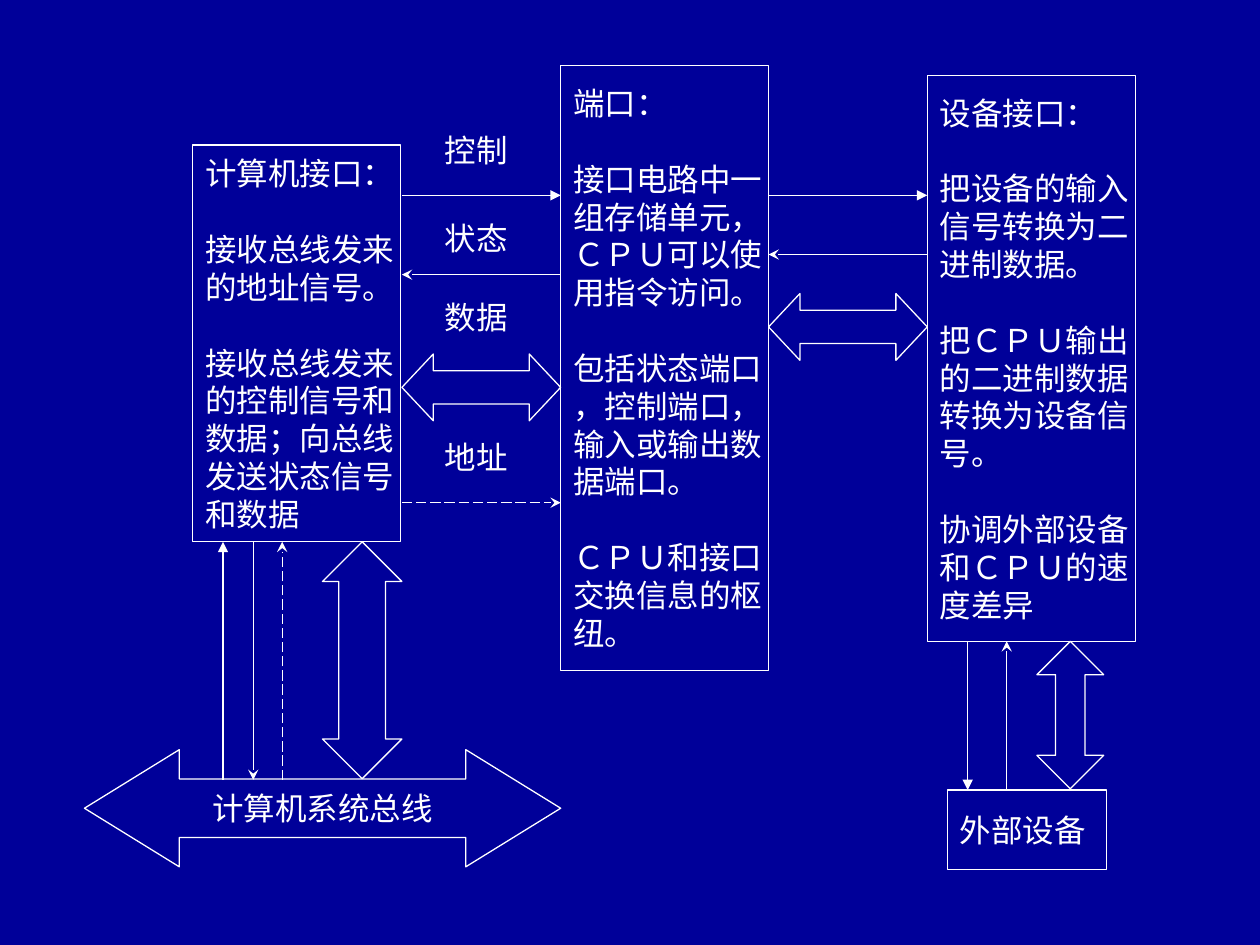
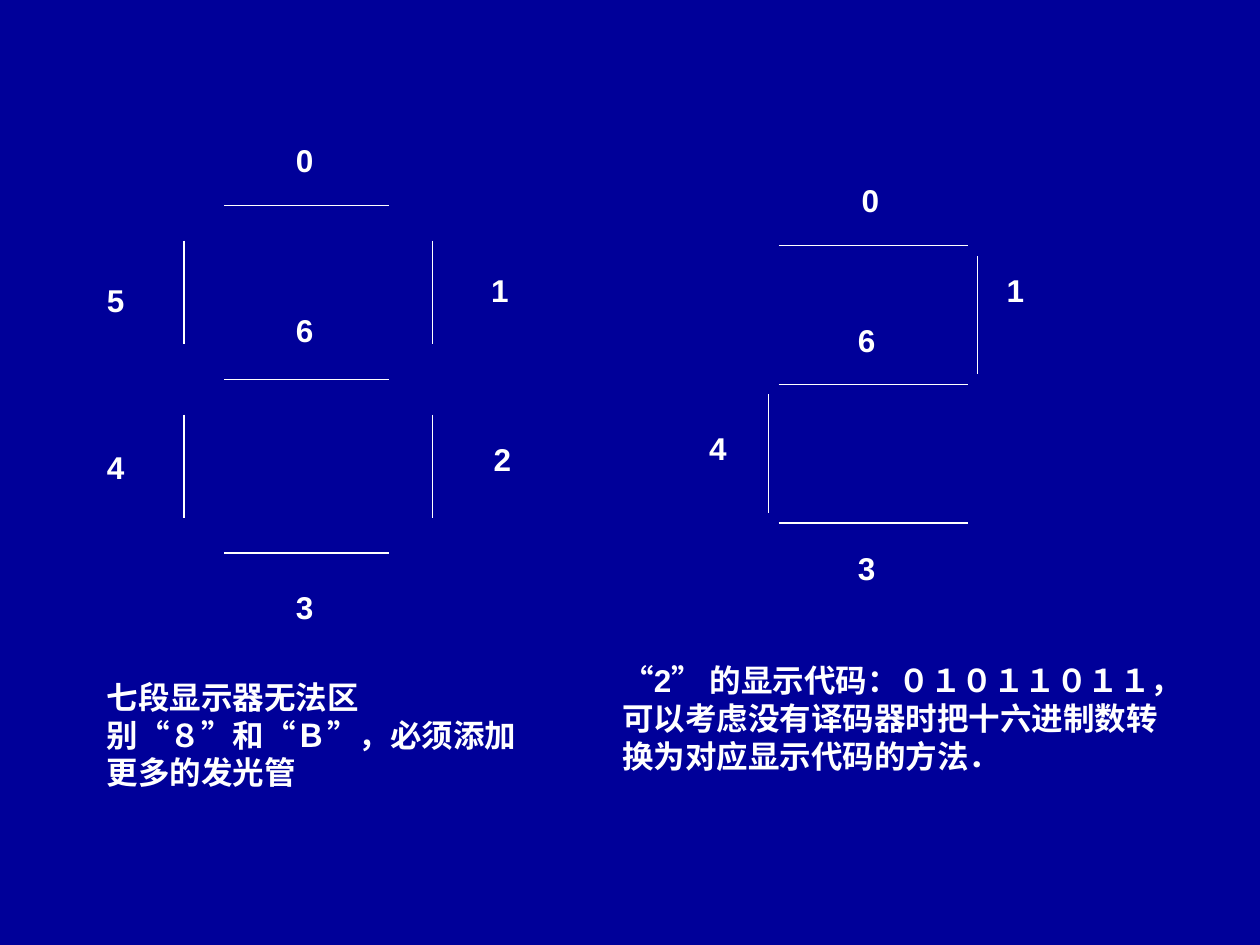
from lxml import etree
from pptx import Presentation
from pptx.dml.color import RGBColor
from pptx.enum import dml, lang, shapes, text
from pptx.oxml.ns import qn
from pptx.util import Inches, Pt

BACKGROUND = "000099"
INK = "FFFFFF"
FONT = "Arial"
TEXT_SIZE = Pt(18)
LINE_PITCH = Pt(21.7)
LINE_WIDTH = Pt(0.75)

BOX = shapes.MSO_SHAPE.RECTANGLE
WIDE_ARROW = shapes.MSO_SHAPE.LEFT_RIGHT_ARROW
TALL_ARROW = shapes.MSO_SHAPE.UP_DOWN_ARROW
LEFT, CENTER = text.PP_ALIGN.LEFT, text.PP_ALIGN.CENTER

# Edges shared by the blocks and the arrows that join them
BLOCK_WIDTH = 1.65
COMPUTER_LEFT, PORT_LEFT, DEVICE_LEFT = 1.53, 4.45, 7.36
COMPUTER_RIGHT, PORT_RIGHT = 3.19, 6.1
COMPUTER_BOTTOM, DEVICE_BOTTOM = 4.3, 5.09
BUS_TOP, PERIPHERAL_TOP = 6.19, 6.27
GAP = 1.26

COMPUTER_TEXT = [
    ["计算机接口："],
    ["接收总线发来", "的地址信号。"],
    ["接收总线发来", "的控制信号和", "数据；向总线", "发送状态信号", "和数据"],
]
PORT_TEXT = [
    ["端口："],
    ["接口电路中一", "组存储单元，", "ＣＰＵ可以使", "用指令访问。"],
    ["包括状态端口", "，控制端口，", "输入或输出数", "据端口。"],
    ["ＣＰＵ和接口", "交换信息的枢", "纽。"],
]
DEVICE_TEXT = [
    ["设备接口："],
    ["把设备的输入", "信号转换为二", "进制数据。"],
    ["把ＣＰＵ输出", "的二进制数据", "转换为设备信", "号。"],
    ["协调外部设备", "和ＣＰＵ的速", "度差异"],
]


def color(hex_string):
    return RGBColor.from_string(hex_string)


def style_line(line):
    line.color.rgb = color(INK)
    line.width = LINE_WIDTH


def write(frame, blocks, bold=False, align=LEFT):
    """Write blocks of lines, one line of space between blocks."""
    paragraph = None
    for block in blocks:
        for index, words in enumerate(block):
            first = paragraph is None
            paragraph = frame.paragraphs[0] if first else frame.add_paragraph()
            paragraph.alignment = align
            if index == 0 and not first:
                paragraph.space_before = LINE_PITCH
            run = paragraph.add_run()
            run.text = words
            font = run.font
            font.name, font.size, font.bold = FONT, TEXT_SIZE, bold
            font.color.rgb = color(INK)
            font.language_id = lang.MSO_LANGUAGE_ID.SIMPLIFIED_CHINESE


def add_outline(slide, kind, left, top, width, height, blocks=(), align=LEFT, head=None):
    """Draw an unfilled shape; head is the arrowhead length per short side."""
    shape = slide.shapes.add_shape(
        kind, Inches(left), Inches(top), Inches(width), Inches(height))
    shape.shadow.inherit = False
    shape.fill.background()
    style_line(shape.line)
    if head:
        shape.adjustments[0] = 0.5
        shape.adjustments[1] = head
    frame = shape.text_frame
    frame.word_wrap = False
    frame.vertical_anchor = text.MSO_ANCHOR.MIDDLE
    write(frame, blocks, align=align)


def add_line(parent, x1, y1, x2, y2, head=None, dashed=False):
    line = parent.shapes.add_connector(
        shapes.MSO_CONNECTOR.STRAIGHT, Inches(x1), Inches(y1), Inches(x2), Inches(y2))
    style_line(line.line)
    if dashed:
        line.line.dash_style = dml.MSO_LINE.LONG_DASH
    properties = line._element.spPr
    if head:
        etree.SubElement(properties.find(qn("a:ln")), qn("a:tailEnd"), type=head)
    etree.SubElement(properties, qn("a:effectLst"))


def add_text(slide, words, left, top, width, height=0.4, bold=False, wrap=False):
    box = slide.shapes.add_textbox(
        Inches(left), Inches(top), Inches(width), Inches(height))
    frame = box.text_frame
    frame.word_wrap = wrap
    frame.auto_size = text.MSO_AUTO_SIZE.SHAPE_TO_FIT_TEXT
    write(frame, [[words]], bold)


def add_digit(slide, bars, rails, top, pitch, inset, labels):
    """Draw the labelled segments of a seven-segment digit.

    bars and rails are the x positions of horizontal and vertical segments.
    """
    middle, bottom = top + pitch, top + 2 * pitch
    (bar_left, bar_right), (rail_left, rail_right) = bars, rails

    def bar(y):
        return bar_left, y, bar_right, y

    def rail(x, y):
        return x, y + inset, x, y + pitch - inset

    segments = [
        bar(top), rail(rail_right, top), rail(rail_right, middle), bar(bottom),
        rail(rail_left, middle), rail(rail_left, top), bar(middle),
    ]
    digit = slide.shapes.add_group_shape()
    for number, (left, label_top) in labels.items():
        add_line(digit, *segments[number])
        add_text(slide, str(number), left, label_top, 0.34, bold=True)


def build_interface_slide(slide):
    add_outline(slide, BOX, COMPUTER_LEFT, 1.15, BLOCK_WIDTH, 3.15, COMPUTER_TEXT)
    add_outline(slide, BOX, DEVICE_LEFT, 0.6, BLOCK_WIDTH, 4.49, DEVICE_TEXT)
    add_outline(slide, BOX, PORT_LEFT, 0.52, BLOCK_WIDTH, 4.8, PORT_TEXT)
    add_outline(slide, BOX, 7.52, PERIPHERAL_TOP, GAP, 0.63, [["外部设备"]])
    add_outline(slide, WIDE_ARROW, 0.67, 5.95, 3.78, 0.93,
                [["计算机系统总线"]], CENTER, head=0.81)

    # Control, status and data between device interface and peripheral
    add_line(slide, 7.68, DEVICE_BOTTOM, 7.68, PERIPHERAL_TOP, "triangle")
    add_line(slide, 7.99, PERIPHERAL_TOP, 7.99, DEVICE_BOTTOM, "stealth")
    add_outline(slide, TALL_ARROW, 8.23, DEVICE_BOTTOM, 0.53, 1.17, head=0.44)

    # The same signals across the two gaps between the blocks
    for left, right, status_y, data_top in (
        (PORT_RIGHT, DEVICE_LEFT, 2.02, 2.33),
        (COMPUTER_RIGHT, PORT_LEFT, 2.18, 2.81),
    ):
        add_line(slide, left, 1.55, right, 1.55, "triangle")
        add_line(slide, right, status_y, left, status_y, "stealth")
        add_outline(slide, WIDE_ARROW, left, data_top, GAP, 0.53, head=0.47)
    add_line(slide, COMPUTER_RIGHT, 3.99, PORT_LEFT, 3.99, "stealth", dashed=True)

    # Signals between computer interface and system bus
    add_line(slide, 1.77, BUS_TOP, 1.77, COMPUTER_BOTTOM, "triangle")
    add_line(slide, 2.01, COMPUTER_BOTTOM, 2.01, BUS_TOP, "stealth")
    add_line(slide, 2.24, BUS_TOP, 2.24, COMPUTER_BOTTOM, "stealth", dashed=True)
    add_outline(slide, TALL_ARROW, 2.56, COMPUTER_BOTTOM, 0.63, 1.88, head=0.59)

    for signal, top in (("控制", 0.99), ("状态", 1.69), ("数据", 2.32), ("地址", 3.43)):
        add_text(slide, signal, 3.43, top, 0.7)


def build_display_slide(slide):
    add_digit(slide, bars=(1.78, 3.09), rails=(1.46, 3.43), top=1.63, pitch=1.38,
              inset=0.28, labels={
                  0: (2.25, 1.07), 1: (3.8, 2.1), 2: (3.82, 3.44), 3: (2.25, 4.62),
                  4: (0.75, 3.51), 5: (0.75, 2.18), 6: (2.25, 2.42)})
    add_digit(slide, bars=(6.18, 7.68), rails=(6.1, 7.76), top=1.95, pitch=1.1,
              inset=0.08, labels={
                  0: (6.74, 1.39), 1: (7.89, 2.1), 3: (6.71, 4.31),
                  4: (5.53, 3.36), 6: (6.71, 2.5)})
    add_text(slide, "“2” 的显示代码：０１０１１０１１，可以考虑没有译码器时把十六进制数转换为对应显示代码的方法．",
             4.84, 5.2, 4.49, 1, bold=True, wrap=True)
    add_text(slide, "七段显示器无法区别“８”和“Ｂ”，必须添加更多的发光管",
             0.75, 5.33, 3.62, 1, bold=True, wrap=True)


def main():
    deck = Presentation()
    deck.slide_width, deck.slide_height = Inches(10), Inches(7.5)
    backdrop = deck.slide_master.background.fill
    backdrop.solid()
    backdrop.fore_color.rgb = color(BACKGROUND)
    blank = deck.slide_layouts[6]
    for build in (build_interface_slide, build_display_slide):
        build(deck.slides.add_slide(blank))
    deck.save("out.pptx")


if __name__ == "__main__":
    main()
